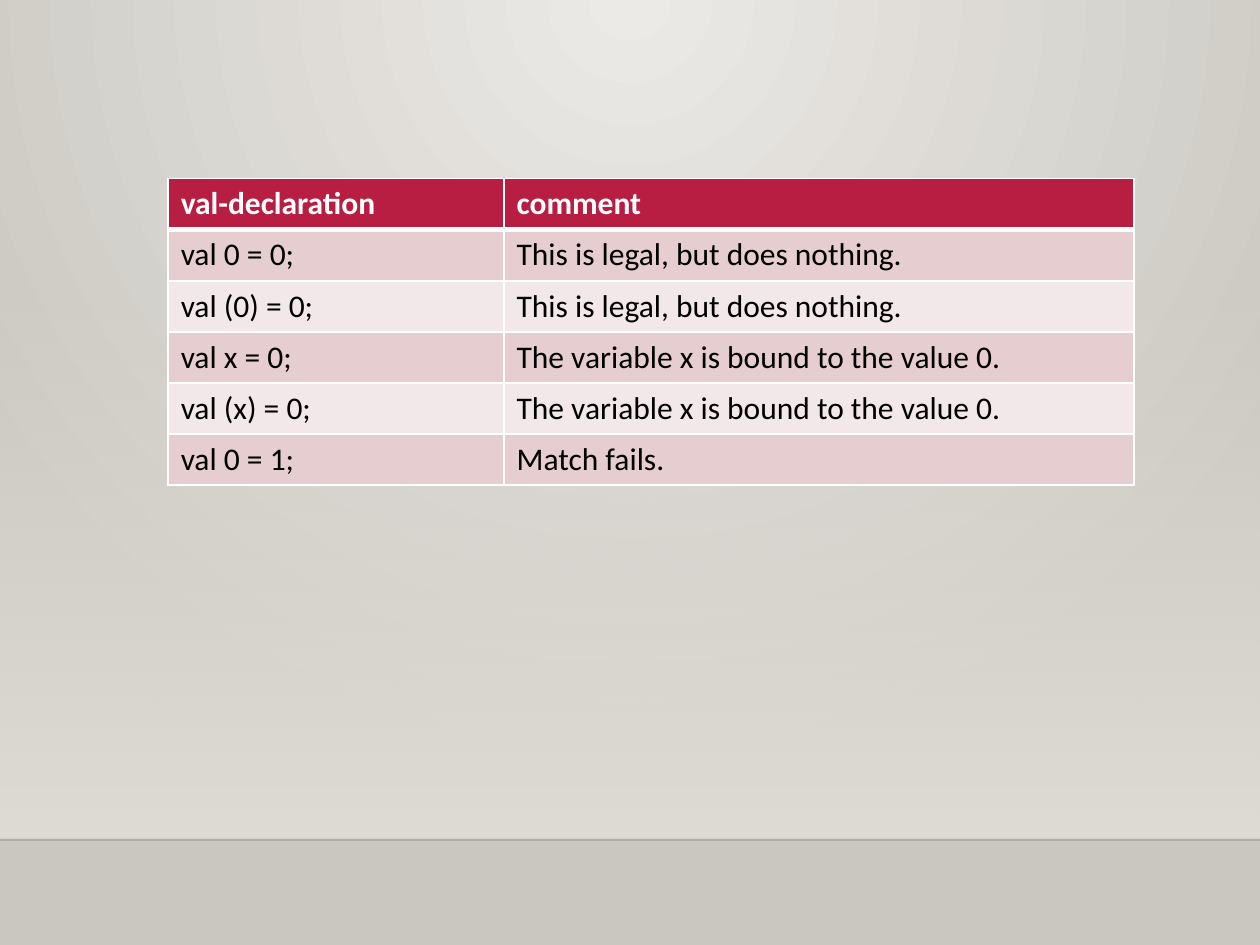
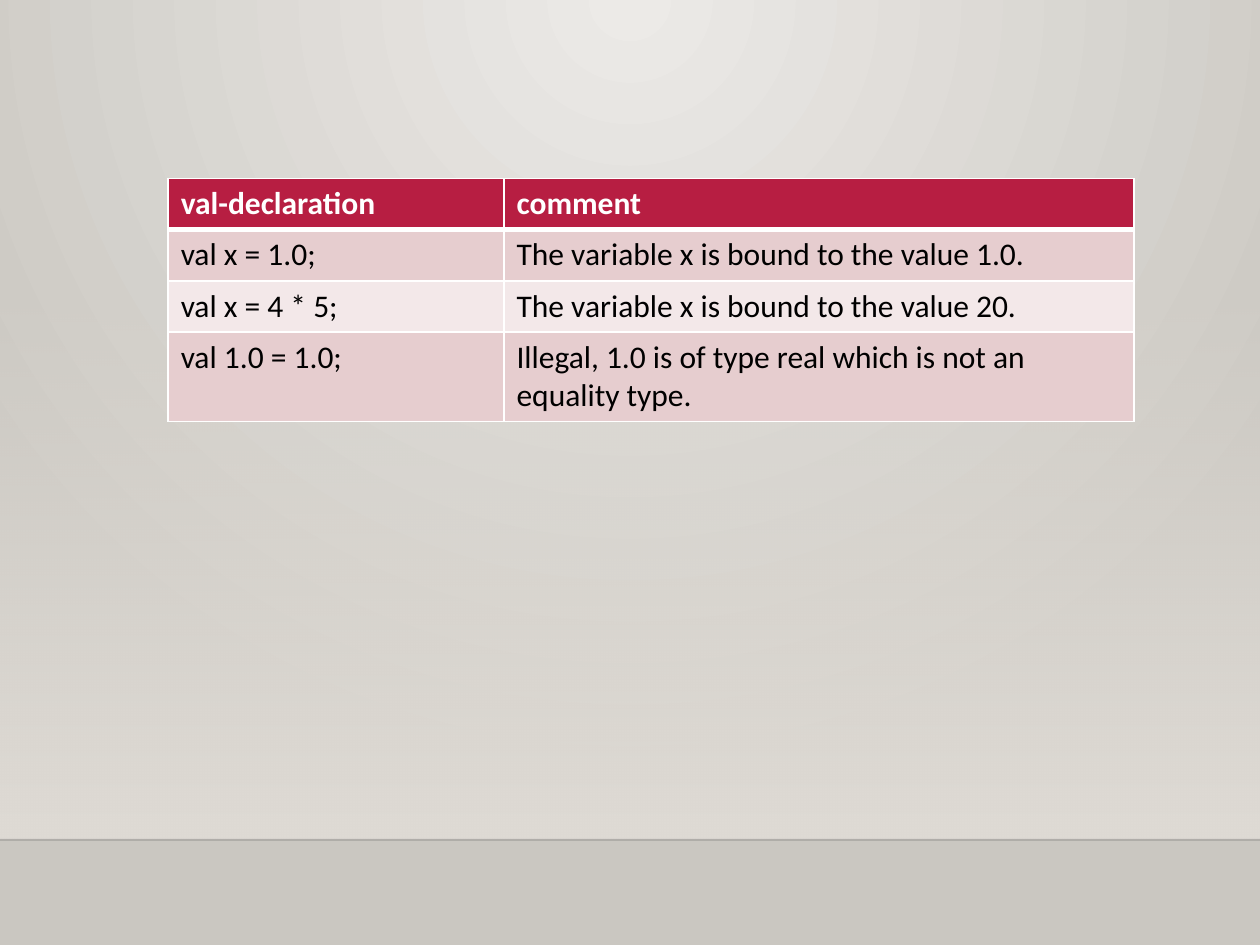
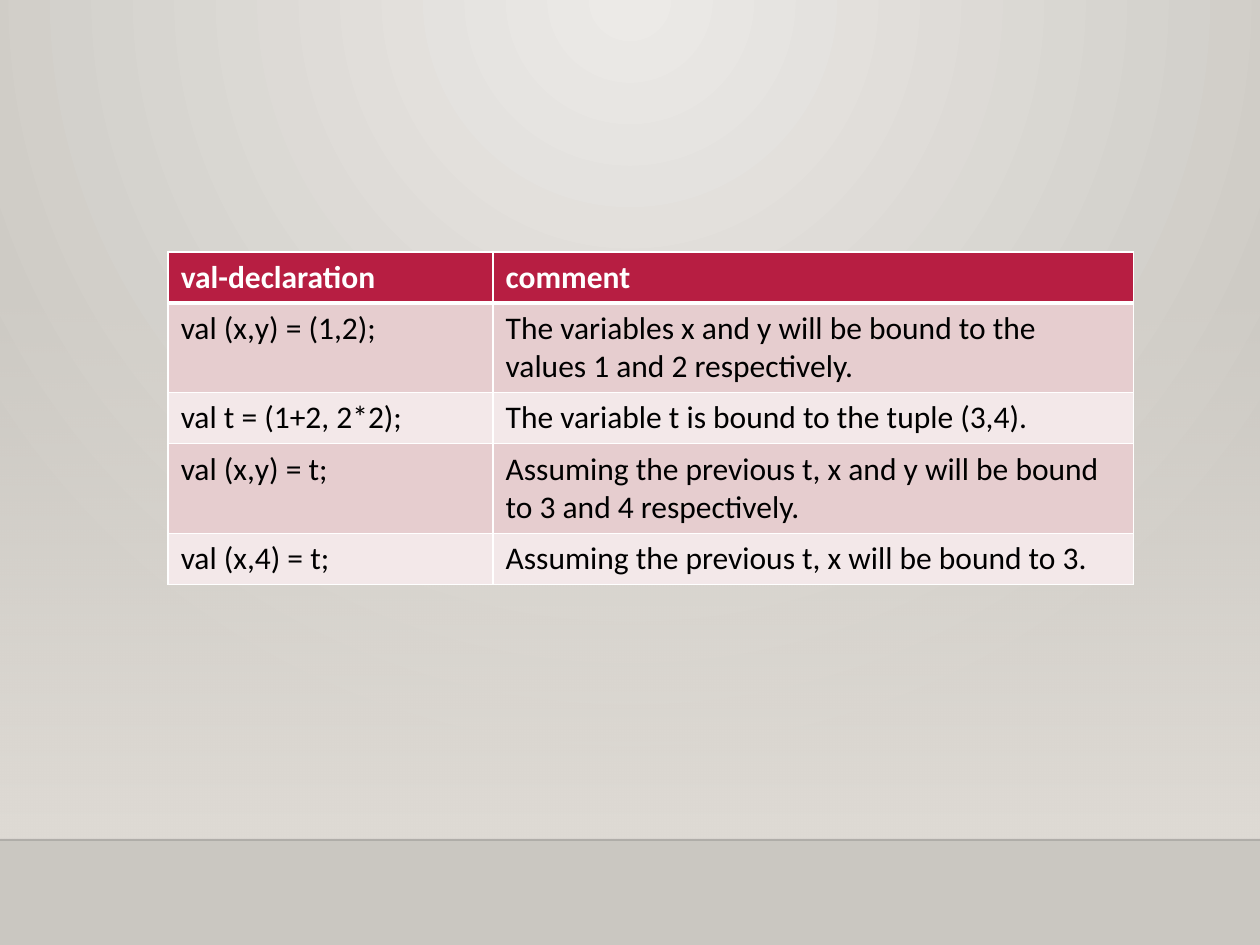
from dataclasses import dataclass

from lxml import etree
from pptx import Presentation
from pptx.dml.color import RGBColor
from pptx.enum import shapes
from pptx.oxml import ns
from pptx.util import Cm, Pt

CRIMSON = RGBColor(0xB7, 0x1E, 0x42)
ROSE = RGBColor(0xE6, 0xCD, 0xCF)
PALE_ROSE = RGBColor(0xF3, 0xE8, 0xE9)
WHITE = RGBColor(0xFF, 0xFF, 0xFF)
BLACK = RGBColor(0x00, 0x00, 0x00)
FLOOR_EDGE = RGBColor(0x00, 0x00, 0x01)
GLOW = RGBColor(0xEC, 0xEA, 0xE7)
STONE = RGBColor(0xCA, 0xC7, 0xC1)
SAND = RGBColor(0xDF, 0xDB, 0xD5)

SLIDE_WIDTH, SLIDE_HEIGHT = Cm(25.4), Cm(19.05)
FLOOR_TOP = Cm(16.93)
HAZE_HEIGHT = Cm(11.34)
TABLE_LEFT = Cm(3.39)
ROW_HEIGHT = Cm(1.03)
THIN, THICK = Pt(1), Pt(3)
FONT = "Calibri"
HEADINGS = ("val-declaration", "comment")


@dataclass(frozen=True)
class DeclarationTable:
    top: Cm
    widths: tuple[Cm, Cm]
    rows: tuple[tuple[str, str], ...]


TABLES = (
    DeclarationTable(Cm(3.6), (Cm(6.77), Cm(12.7)), (
        ("val 0 = 0;", "This is legal, but does nothing."),
        ("val (0) = 0;", "This is legal, but does nothing."),
        ("val x = 0;", "The variable x is bound to the value 0."),
        ("val (x) = 0;", "The variable x is bound to the value 0."),
        ("val 0 = 1;", "Match fails."),
    )),
    DeclarationTable(Cm(3.6), (Cm(6.77), Cm(12.7)), (
        ("val x = 1.0;", "The variable x is bound to the value 1.0."),
        ("val x = 4 * 5;", "The variable x is bound to the value 20."),
        ("val 1.0 = 1.0;", "Illegal, 1.0 is of type real which is not an equality type."),
    )),
    DeclarationTable(Cm(5.08), (Cm(6.55), Cm(12.91)), (
        ("val (x,y) = (1,2);",
         "The variables x and y will be bound to the values 1 and 2 respectively."),
        ("val t = (1+2, 2*2);", "The variable t is bound to the tuple (3,4)."),
        ("val (x,y) = t;",
         "Assuming the previous t, x and y will be bound to 3 and 4 respectively."),
        ("val (x,4) = t;", "Assuming the previous t, x will be bound to 3."),
    )),
)


def add_element(parent, tag: str, **attributes):
    return etree.SubElement(parent, ns.qn(tag), attributes)


def set_opacity(element, percent: int) -> None:
    color = element.find(".//" + ns.qn("a:srgbClr"))
    add_element(color, "a:alpha", val=str(percent * 1000))


def set_gradient(fill, start: RGBColor, end: RGBColor) -> None:
    fill.gradient()
    for stop, color, position in zip(fill.gradient_stops, (start, end), (0, 1)):
        stop.color.rgb = color
        stop.position = position


def paint_background(master) -> None:
    set_gradient(master.background.fill, GLOW, STONE)
    gradient = master.element.find(".//" + ns.qn("a:gradFill"))
    gradient.remove(gradient.find(ns.qn("a:lin")))
    circle = add_element(gradient, "a:path", path="circle")
    add_element(circle, "a:fillToRect", l="43000", t="0", r="43000", b="100000")


def add_floor(slide) -> None:
    haze = slide.shapes.add_shape(shapes.MSO_SHAPE.RECTANGLE, 0, FLOOR_TOP - HAZE_HEIGHT,
                                  SLIDE_WIDTH, HAZE_HEIGHT)
    haze.shadow.inherit = False
    haze.line.fill.background()
    set_gradient(haze.fill, SAND, SAND)
    haze.fill.gradient_angle = 270
    set_opacity(haze.element.spPr, 0)

    edge = slide.shapes.add_connector(shapes.MSO_CONNECTOR.STRAIGHT, 0, FLOOR_TOP,
                                      SLIDE_WIDTH, FLOOR_TOP)
    edge.line.color.rgb = FLOOR_EDGE
    edge.line.width = THIN
    set_opacity(edge.element.spPr, 20)
    add_element(edge.element.spPr, "a:effectLst")


def set_text(cell, content: str, *, color: RGBColor, bold: bool = False) -> None:
    paragraph = cell.text_frame.paragraphs[0]
    run = paragraph.add_run()
    run.text = content
    run.font.name = FONT
    run.font.size = Pt(18)
    run.font.bold = bold
    run.font.color.rgb = color


def set_borders(cell, *, top: Pt, bottom: Pt) -> None:
    properties = cell._tc.get_or_add_tcPr()
    for side, width in (("L", THIN), ("R", THIN), ("T", top), ("B", bottom)):
        line = add_element(properties, f"a:ln{side}", w=str(width))
        add_element(add_element(line, "a:solidFill"), "a:srgbClr", val=str(WHITE))


def add_declaration_table(slide, spec_table: DeclarationTable) -> None:
    rows = (HEADINGS, *spec_table.rows)
    frame = slide.shapes.add_table(len(rows), len(HEADINGS), TABLE_LEFT, spec_table.top,
                                   sum(spec_table.widths), ROW_HEIGHT * len(rows))
    table = frame.table
    for column, width in zip(table.columns, spec_table.widths):
        column.width = width
    for row_index, row in enumerate(rows):
        is_header = row_index == 0
        band = ROSE if row_index % 2 else PALE_ROSE
        for column_index, content in enumerate(row):
            cell = table.cell(row_index, column_index)
            set_borders(cell, top=THICK if row_index == 1 else THIN,
                        bottom=THICK if is_header else THIN)
            cell.fill.solid()
            cell.fill.fore_color.rgb = CRIMSON if is_header else band
            set_text(cell, content, color=WHITE if is_header else BLACK, bold=is_header)


def main() -> None:
    presentation = Presentation()
    presentation.slide_width, presentation.slide_height = SLIDE_WIDTH, SLIDE_HEIGHT
    paint_background(presentation.slide_master)
    for declarations in TABLES:
        slide = presentation.slides.add_slide(presentation.slide_layouts[6])
        add_floor(slide)
        add_declaration_table(slide, declarations)
    presentation.save("out.pptx")


if __name__ == "__main__":
    main()
